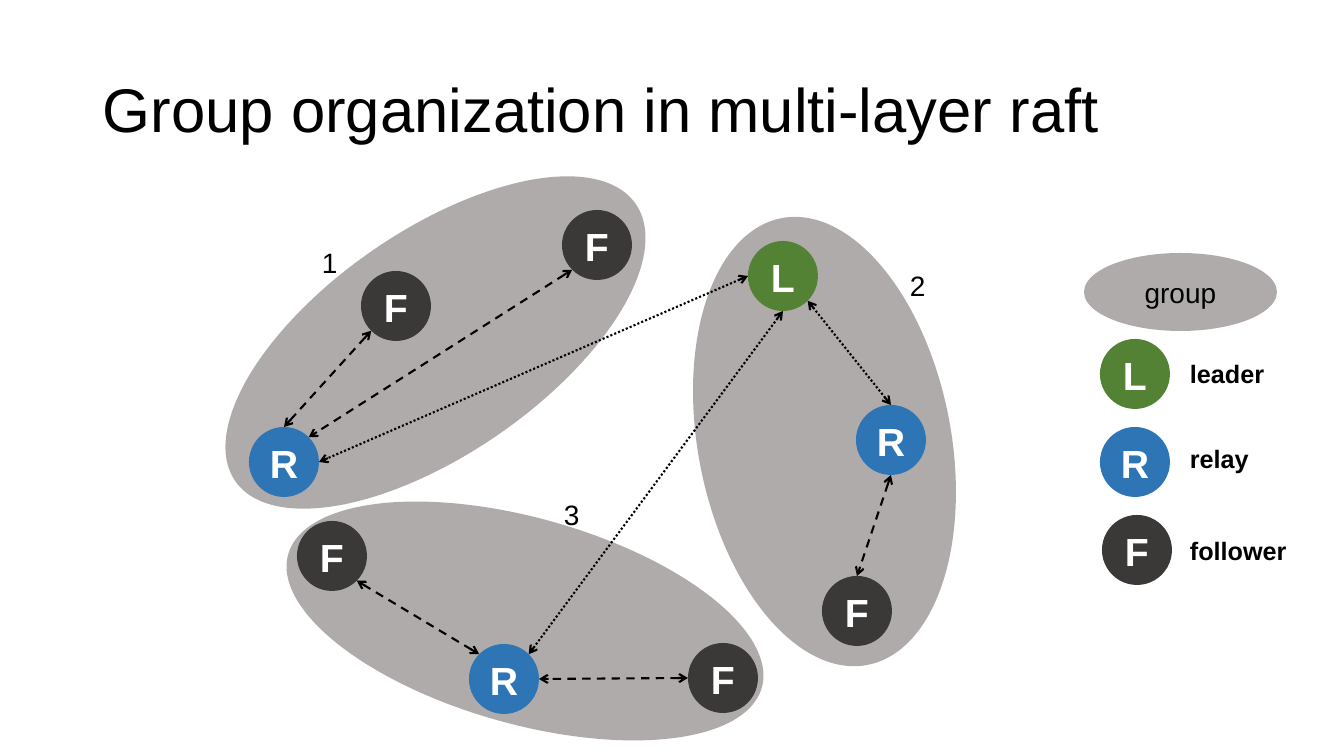
from math import cos, radians, sin

from lxml.etree import SubElement
from pptx import Presentation
from pptx.dml.color import RGBColor
from pptx.enum.dml import MSO_LINE as Dash
from pptx.enum.shapes import MSO_CONNECTOR as Connector, MSO_SHAPE as Preset
from pptx.enum.text import MSO_ANCHOR as Anchor, PP_ALIGN as Align
from pptx.oxml.ns import qn
from pptx.util import Pt

EMU_PER_PIXEL = 914400 / 100.8
NODE_SIZE = 70
BLACK, WHITE, GROUP_GRAY = "000000", "FFFFFF", "AFABAB"
ROLE_COLORS = {"L": "548235", "R": "2E75B6", "F": "3B3838"}

GROUPS = [
    ((422, 375, 206, 492), 105.7),
    ((698, 214, 253, 455), 169.1),
    ((324, 99, 223, 487), 55.3),
]
NODES = {
    "upper follower 1": ("F", 597, 245),
    "lower follower 1": ("F", 396, 306),
    "relay 1": ("R", 284, 462),
    "leader": ("L", 783, 276),
    "relay 2": ("R", 891, 440),
    "follower 2": ("F", 857, 611),
    "left follower 3": ("F", 332, 556),
    "relay 3": ("R", 504, 679),
    "right follower 3": ("F", 723, 678),
}
ANGLES = {"right": 0, "bottom right": 45, "bottom": 90, "bottom left": 135,
          "left": 180, "top left": 225, "top": 270, "top right": 315}
LINKS = [
    ("relay 2", "top", "leader", "bottom right", Dash.ROUND_DOT),
    ("leader", "left", "relay 1", "right", Dash.ROUND_DOT),
    ("leader", "bottom", "relay 3", "top right", Dash.ROUND_DOT),
    ("upper follower 1", "bottom left", "relay 1", "top right", Dash.DASH),
    ("relay 3", "top left", "left follower 3", "bottom right", Dash.DASH),
    ("right follower 3", "left", "relay 3", "right", Dash.DASH),
    ("lower follower 1", "bottom left", "relay 1", "top", Dash.DASH),
    ("relay 2", "bottom", "follower 2", "top", Dash.DASH),
]
GROUP_NUMBERS = [
    ("1", (312, 241, 80, 44)),
    ("3", (554, 493, 80, 44)),
    ("2", (900, 264, 33, 44)),
]
LEGEND_NODES = [("L", 1135, 374), ("R", 1135, 462), ("F", 1137, 550)]
LEGEND_LABELS = [
    ("leader", (1180, 353, 96, 40)),
    ("relay", (1180, 438, 80, 40)),
    ("follower", (1180, 530, 118, 40)),
]


def pixels(*lengths):
    return [round(length * EMU_PER_PIXEL) for length in lengths]


def color(hex_string):
    return RGBColor.from_string(hex_string)


def write(shape, text, size, hex_color=BLACK, bold=False, align=Align.LEFT,
          anchor=Anchor.TOP, wrap=True):
    frame = shape.text_frame
    frame.word_wrap = wrap
    frame.vertical_anchor = anchor
    paragraph = frame.paragraphs[0]
    paragraph.alignment = align
    run = paragraph.add_run()
    run.text = text
    run.font.name = "Arial"
    run.font.size = Pt(size)
    run.font.bold = bold
    run.font.color.rgb = color(hex_color)
    return paragraph


def add_label(slide, text, box, size, **style):
    return write(slide.shapes.add_textbox(*pixels(*box)), text, size, **style)


def add_ellipse(slide, box, fill, rotation=0):
    shape = slide.shapes.add_shape(Preset.OVAL, *pixels(*box))
    shape.rotation = rotation
    shape.shadow.inherit = False
    shape.fill.solid()
    shape.fill.fore_color.rgb = color(fill)
    shape.line.fill.background()
    return shape


def add_node(slide, role, center_x, center_y):
    box = (center_x - NODE_SIZE / 2, center_y - NODE_SIZE / 2, NODE_SIZE, NODE_SIZE)
    shape = add_ellipse(slide, box, ROLE_COLORS[role])
    frame = shape.text_frame
    frame.margin_left, frame.margin_top, frame.margin_right, frame.margin_bottom = pixels(10, 6, 10, 5)
    write(shape, role, 28, WHITE, bold=True, align=Align.CENTER,
          anchor=Anchor.MIDDLE, wrap=False)


def edge_point(node, side):
    role, center_x, center_y = NODES[node]
    angle = radians(ANGLES[side])
    return pixels(center_x + NODE_SIZE / 2 * cos(angle),
                  center_y + NODE_SIZE / 2 * sin(angle))


def add_link(slide, start, start_side, end, end_side, dash):
    connector = slide.shapes.add_connector(
        Connector.STRAIGHT, *edge_point(start, start_side), *edge_point(end, end_side))
    connector.line.color.rgb = color(BLACK)
    connector.line.width = Pt(1.5)
    connector.line.dash_style = dash
    properties = connector.element.spPr
    line = properties.find(qn("a:ln"))
    for tag in ("a:headEnd", "a:tailEnd"):
        SubElement(line, qn(tag), type="arrow")
    SubElement(properties, qn("a:effectLst"))


def main():
    presentation = Presentation()
    presentation.slide_width, presentation.slide_height = pixels(1344, 756)
    slide = presentation.slides.add_slide(presentation.slide_layouts[6])

    title = add_label(slide, "Group organization in multi-layer raft",
                      (93, 40, 1159, 146), 44, anchor=Anchor.MIDDLE)
    title.line_spacing = 0.9

    for box, rotation in GROUPS:
        add_ellipse(slide, box, GROUP_GRAY, rotation)
    for node in NODES.values():
        add_node(slide, *node)
    for link in LINKS:
        add_link(slide, *link)
    for number, box in GROUP_NUMBERS:
        add_label(slide, number, box, 20)

    legend_group = add_ellipse(slide, (1084, 253, 193, 78), GROUP_GRAY)
    write(legend_group, "group", 20, align=Align.CENTER, anchor=Anchor.MIDDLE, wrap=False)
    for node in LEGEND_NODES:
        add_node(slide, *node)
    for text, box in LEGEND_LABELS:
        add_label(slide, text, box, 18, bold=True, wrap=False)

    presentation.save("out.pptx")


main()
